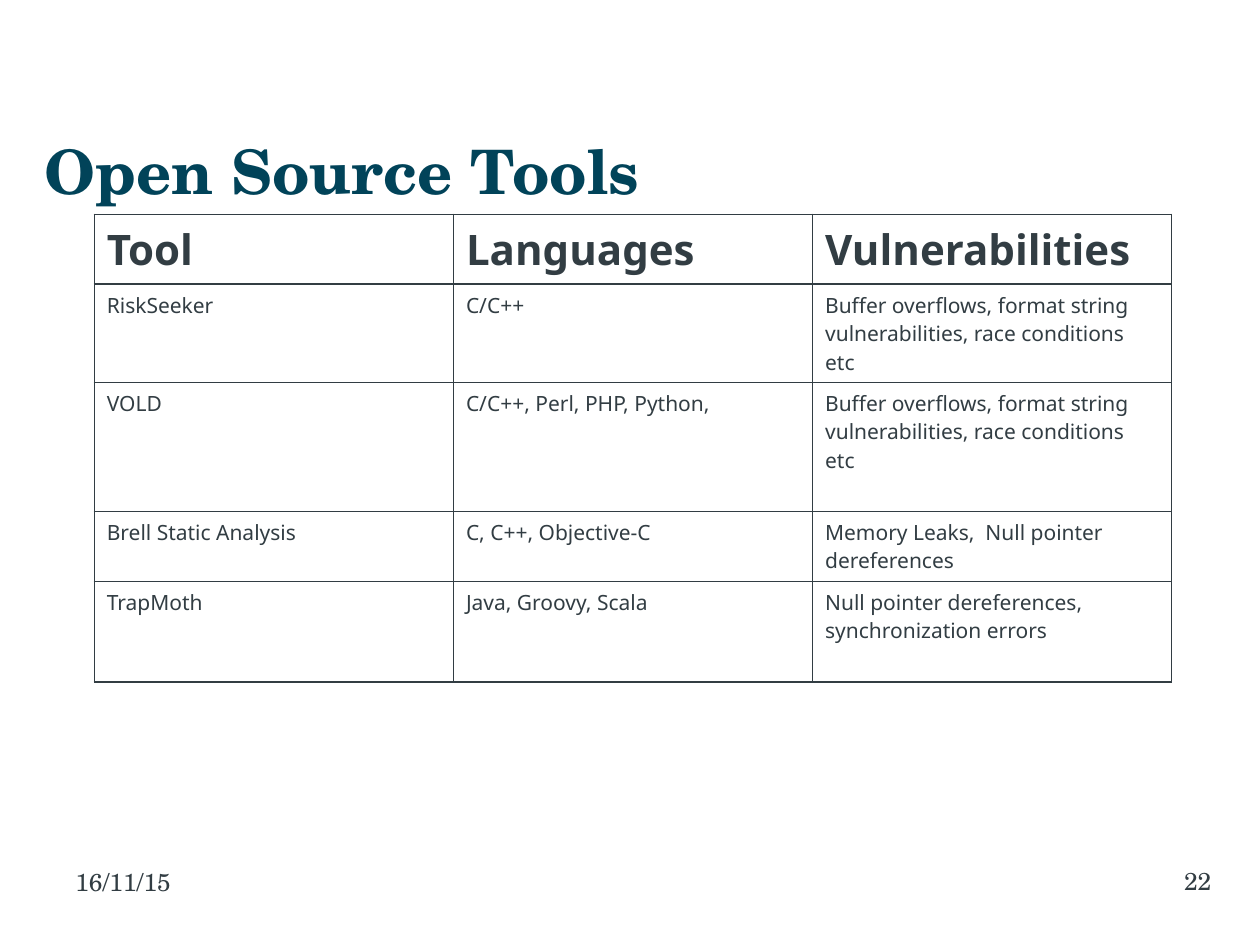
from typing import NamedTuple

from lxml.etree import SubElement
from pptx import Presentation
from pptx.dml.color import RGBColor
from pptx.enum.text import MSO_ANCHOR as Anchor, PP_ALIGN as Align
from pptx.oxml.ns import qn
from pptx.util import Cm, Pt

TEAL = RGBColor(0x01, 0x43, 0x59)
SLATE = RGBColor(0x32, 0x3D, 0x43)
SERIF = "TeX Gyre Schola"
SANS = "Noto Sans"


class Tool(NamedTuple):
    name: str
    languages: str
    vulnerabilities: str
    height: float  # row height in centimetres


HEADER = Tool("Tool", "Languages", "Vulnerabilities", 1.41)
TOOLS = [
    Tool("RiskSeeker", "C/C++",
         "Buffer overflows, format string vulnerabilities, race conditions etc", 1.98),
    Tool("VOLD", "C/C++, Perl, PHP, Python,",
         "Buffer overflows, format string vulnerabilities, race conditions etc", 2.6),
    Tool("Brell Static Analysis", "C, C++, Objective-C",
         "Memory Leaks,  Null pointer dereferences", 1.41),
    Tool("TrapMoth", "Java, Groovy, Scala",
         "Null pointer dereferences, synchronization errors", 2.03),
]


def write(frame, text: str, *, size: float, font=SERIF, color=SLATE,
          bold=False, align=Align.LEFT) -> None:
    paragraph = frame.paragraphs[0]
    paragraph.alignment = align
    run = paragraph.add_run()
    run.text = text
    run.font.name = font
    run.font.size = Pt(size)
    run.font.bold = bold
    run.font.color.rgb = color


def add_text(slide, text: str, left: float, top: float, width: float, height: float, *,
             anchor=Anchor.TOP, inset_left=0.25, inset_right=0.25, **text_format) -> None:
    """Add a text box; all lengths are in centimetres."""
    shape = slide.shapes.add_textbox(Cm(left), Cm(top), Cm(width), Cm(height))
    frame = shape.text_frame
    frame.word_wrap = True
    frame.vertical_anchor = anchor
    frame.margin_left, frame.margin_right = Cm(inset_left), Cm(inset_right)
    write(frame, text, **text_format)


def add_borders(cell, color: RGBColor, width: float) -> None:
    properties = cell._tc.get_or_add_tcPr()
    for position, side in enumerate(("lnL", "lnR", "lnT", "lnB")):
        line = SubElement(properties, qn(f"a:{side}"), w=str(Pt(width)))
        fill = SubElement(line, qn("a:solidFill"))
        SubElement(fill, qn("a:srgbClr"), val=str(color))
        properties.insert(position, line)  # borders precede the cell fill


def add_tool_table(slide, tools: list[Tool]) -> None:
    rows = [HEADER, *tools]
    column_width = Cm(7.24)
    total_height = Cm(sum(row.height for row in rows))
    table = slide.shapes.add_table(len(rows), 3, Cm(1.9), Cm(4.32),
                                   column_width * 3, total_height).table
    table.first_row = table.horz_banding = False
    for column in table.columns:
        column.width = column_width
    for index, row in enumerate(rows):
        table.rows[index].height = Cm(row.height)
        is_header = row is HEADER
        for cell, text in zip(table.rows[index].cells, row[:3]):
            cell.fill.background()
            add_borders(cell, SLATE, 1)
            write(cell.text_frame, text, font=SANS,
                  size=24 if is_header else 12, bold=is_header)


def main() -> None:
    presentation = Presentation()
    presentation.slide_width, presentation.slide_height = Cm(25.4), Cm(19.05)
    slide = presentation.slides.add_slide(presentation.slide_layouts[6])
    add_text(slide, "Open Source Tools", 0.9, 2.52, 23.6, 1.8, anchor=Anchor.MIDDLE,
             inset_left=0, size=35, color=TEAL, bold=True)
    add_tool_table(slide, TOOLS)
    add_text(slide, "16/11/15", 1.27, 17.35, 5.92, 1.32, size=14)
    add_text(slide, "22", 18.5, 17.33, 5.92, 1.32, inset_right=0,
             size=14, align=Align.RIGHT)
    presentation.save("out.pptx")


if __name__ == "__main__":
    main()
